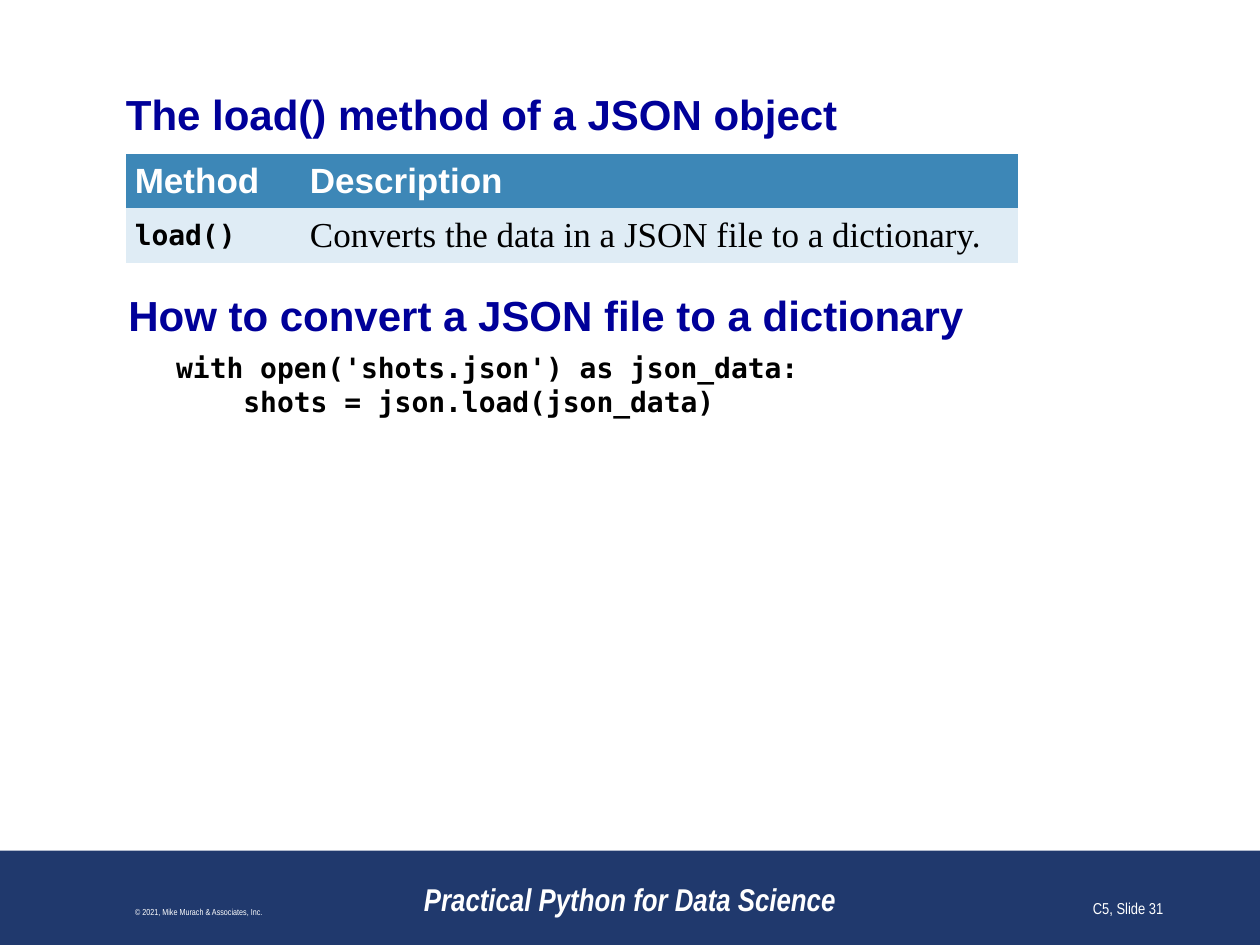
from lxml import etree
from pptx import Presentation
from pptx.dml.color import RGBColor
from pptx.enum.shapes import MSO_SHAPE
from pptx.enum.text import MSO_ANCHOR, PP_ALIGN
from pptx.oxml.ns import qn
from pptx.util import Inches, Pt

RECTANGLE = MSO_SHAPE.RECTANGLE
TOP, MIDDLE, BOTTOM = MSO_ANCHOR.TOP, MSO_ANCHOR.MIDDLE, MSO_ANCHOR.BOTTOM
LEFT, CENTER, RIGHT = PP_ALIGN.LEFT, PP_ALIGN.CENTER, PP_ALIGN.RIGHT

COLORS = {
    "heading": "000099",
    "footer": "20396D",
    "header_row": "3D87B7",
    "body_row": "DFECF5",
    "white": "FFFFFF",
    "black": "000000",
}
# Each style: font name, size, colour, bold, italic
STYLES = {
    "heading": ("Arial", 24, "heading", True, False),
    "table_header": ("Arial", 20, "white", True, False),
    "table_text": ("Times New Roman", 20, "black", False, False),
    "code": ("DejaVu Sans Mono", 16, "black", True, False),
    "book": ("Arial Narrow", 18, "white", True, True),
    "copyright": ("Arial Narrow", 5, "white", False, False),
    "slide_number": ("Arial Narrow", 9, "white", False, False),
}


class SlideBuilder:
    def __init__(self, slide):
        self.slide = slide

    def color(self, name):
        return RGBColor.from_string(COLORS[name])

    def run(self, paragraph, text, style):
        name, size, color, bold, italic = STYLES[style]
        run = paragraph.add_run()
        run.text = text
        run.font.name = name
        run.font.size = Pt(size)
        run.font.bold = bold
        run.font.italic = italic
        run.font.color.rgb = self.color(color)

    def band(self, left, top, width, height, color):
        shape = self.slide.shapes.add_shape(
            RECTANGLE, Inches(left), Inches(top), Inches(width), Inches(height))
        shape.shadow.inherit = False
        shape.fill.solid()
        shape.fill.fore_color.rgb = self.color(color)
        shape.line.fill.background()

    def text(self, left, top, width, height, lines, anchor=TOP, align=LEFT, inset=True):
        """Add a text box; each line is (text, style, indent, space after)."""
        shape = self.slide.shapes.add_textbox(
            Inches(left), Inches(top), Inches(width), Inches(height))
        frame = shape.text_frame
        frame.word_wrap = True
        frame.vertical_anchor = anchor
        if not inset:
            frame.margin_left = frame.margin_right = 0
            frame.margin_top = frame.margin_bottom = 0
        for index, (text, style, indent, space_after) in enumerate(lines):
            paragraph = frame.add_paragraph() if index else frame.paragraphs[0]
            if indent:
                paragraph._p.get_or_add_pPr().set("marL", str(Inches(indent)))
            paragraph.alignment = align
            paragraph.space_after = Pt(space_after)
            self.run(paragraph, text, style)

    def cell(self, cell, text, style, fill):
        properties = cell._tc.get_or_add_tcPr()
        for side in ("a:lnL", "a:lnR", "a:lnT", "a:lnB"):
            border = etree.SubElement(properties, qn(side), w="0")
            etree.SubElement(border, qn("a:noFill"))
        cell.fill.solid()
        cell.fill.fore_color.rgb = self.color(fill)
        cell.vertical_anchor = MIDDLE
        cell.margin_left = cell.margin_right = Inches(0.07)
        self.run(cell.text_frame.paragraphs[0], text, style)

    def table(self, left, top, widths, row_height, rows):
        """Add a table; each row is (fill, [(text, style), ...])."""
        table = self.slide.shapes.add_table(
            len(rows), len(widths), Inches(left), Inches(top),
            Inches(sum(widths)), Inches(row_height * len(rows))).table
        table.first_row = table.horz_banding = False
        for column, width in zip(table.columns, widths):
            column.width = Inches(width)
        for row, (fill, contents) in zip(table.rows, rows):
            row.height = Inches(row_height)
            for cell, (text, style) in zip(row.cells, contents):
                self.cell(cell, text, style, fill)


def main():
    presentation = Presentation()
    presentation.slide_width = Inches(10)
    presentation.slide_height = Inches(7.5)
    builder = SlideBuilder(presentation.slides.add_slide(presentation.slide_layouts[6]))

    builder.band(0, 6.75, 10, 0.75, "footer")
    builder.text(1, 0.7, 8, 0.4, [("The load() method of a JSON object", "heading", 0, 0)],
                 anchor=MIDDLE, inset=False)
    builder.table(1, 1.22, [1.39, 5.69], 0.41, [
        ("header_row", [("Method", "table_header"), ("Description", "table_header")]),
        ("body_row", [("load()", "code"),
                      ("Converts the data in a JSON file to a dictionary.", "table_text")]),
    ])
    builder.text(0.92, 2.25, 8.08, 2.42, [
        ("How to convert a JSON file to a dictionary", "heading", 0, 6),
        ("with open('shots.json') as json_data:", "code", 0.38, 0),
        ("    shots = json.load(json_data)", "code", 0.38, 0),
    ])

    footers = [
        (3, 4, "Practical Python for Data Science", "book", CENTER),
        (0.08, 3, "© 2021, Mike Murach & Associates, Inc.", "copyright", CENTER),
        (7.25, 2.08, "C5, Slide 31", "slide_number", RIGHT),
    ]
    for left, width, text, style, align in footers:
        builder.text(left, 6.83, width, 0.5, [(text, style, 0, 0)], BOTTOM, align)

    presentation.save("out.pptx")


if __name__ == "__main__":
    main()
